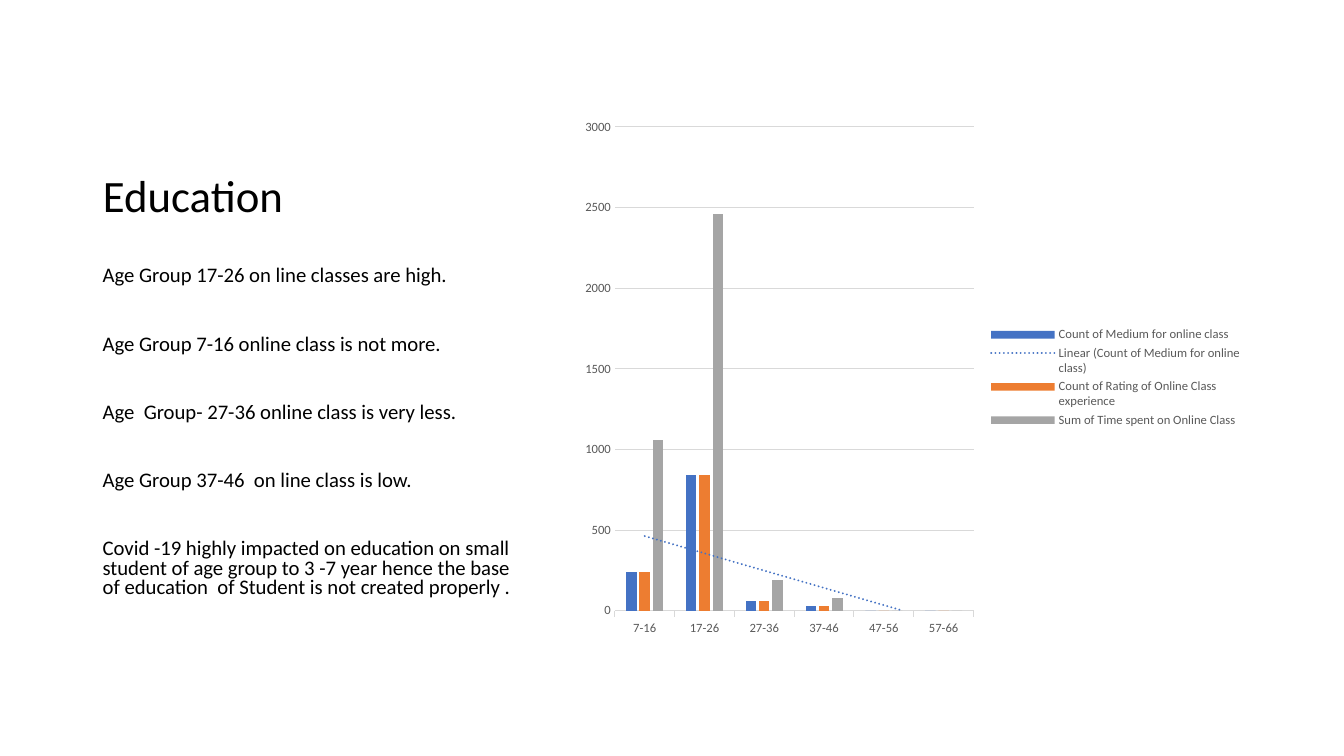
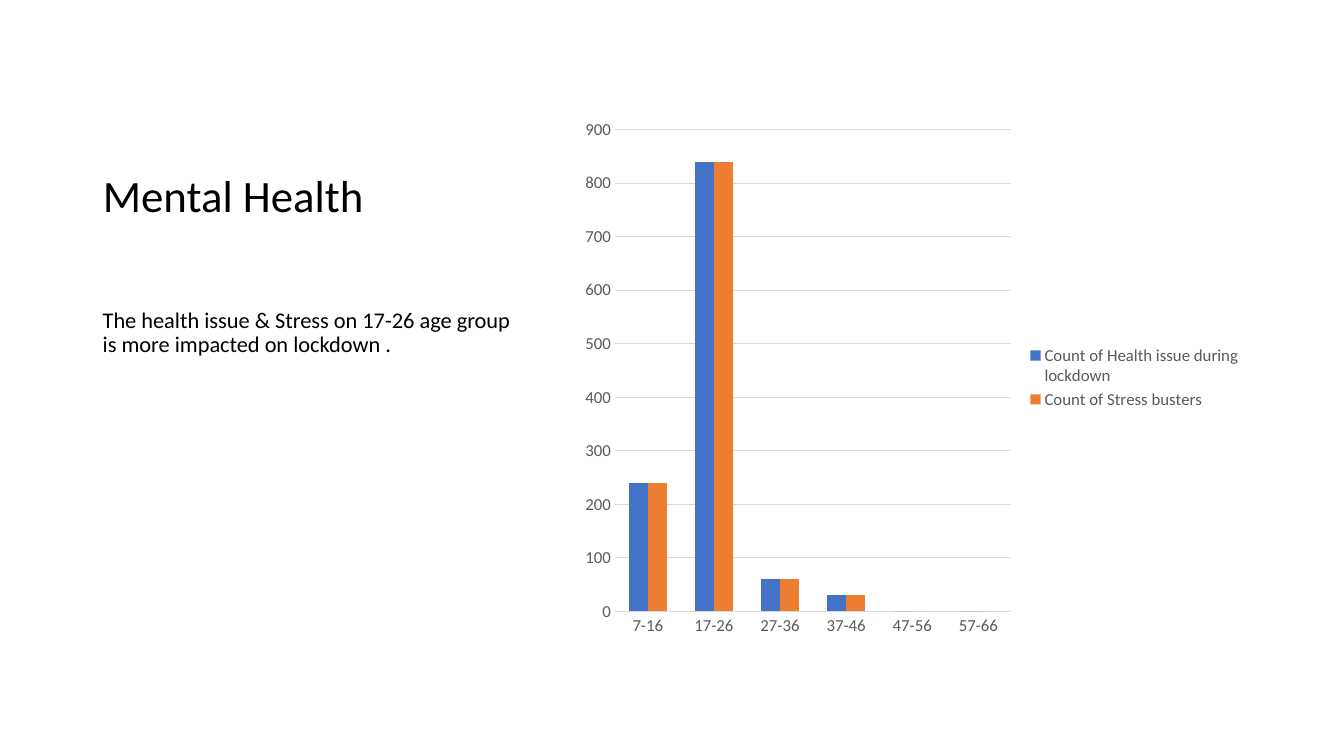
from lxml import etree
from pptx import Presentation
from pptx.chart.data import CategoryChartData
from pptx.dml.color import RGBColor
from pptx.enum.chart import XL_CHART_TYPE, XL_LEGEND_POSITION, XL_TICK_MARK
from pptx.enum.text import MSO_ANCHOR, MSO_AUTO_SIZE, PP_ALIGN
from pptx.oxml import parse_xml
from pptx.oxml.ns import nsdecls, qn
from pptx.util import Inches, Pt

BLACK = RGBColor(0x00, 0x00, 0x00)
TEXT_GRAY = RGBColor(0x59, 0x59, 0x59)
RULE_GRAY = RGBColor(0xD9, 0xD9, 0xD9)
BLUE = RGBColor(0x44, 0x72, 0xC4)
ORANGE = RGBColor(0xED, 0x7D, 0x31)
GRAY = RGBColor(0xA5, 0xA5, 0xA5)
SERIES_COLORS = [BLUE, ORANGE, GRAY]
FONT = "Calibri"

AGE_GROUPS = ["7-16", "17-26", "27-36", "37-46", "47-56", "57-66"]
RESPONSES = [240, 840, 60, 30, 0, 0]
HOURS = [1060, 2460, 190, 80, 0, 0]


class Deck:
    left, width = Inches(0.92), Inches(4.3)

    def __init__(self):
        self.prs = Presentation()
        self.prs.slide_width = Inches(13.33)
        self.prs.slide_height = Inches(7.5)
        self.s = None

    def style(self, font, size, color):
        font.name = FONT
        font.size = Pt(size)
        font.color.rgb = color

    def rule(self, line):
        line.color.rgb = RULE_GRAY
        line.width = Pt(0.75)

    def add_slide(self, title):
        self.s = self.prs.slides.add_slide(self.prs.slide_layouts[5])
        sp = self.s.shapes.title
        sp.left, sp.top = self.left, Inches(0.5)
        sp.width, sp.height = self.width, Inches(1.75)
        tf = sp.text_frame
        tf.text = title
        tf.word_wrap = True
        tf.auto_size = MSO_AUTO_SIZE.NONE
        tf.vertical_anchor = MSO_ANCHOR.BOTTOM
        p = tf.paragraphs[0]
        p.alignment = PP_ALIGN.LEFT
        p.line_spacing = 0.9
        self.style(p.runs[0].font, 32, BLACK)

    def add_body(self, lines, size, spacing, inset, gap=0):
        sp = self.s.shapes.add_textbox(self.left, Inches(2.25), self.width, Inches(4.17))
        tf = sp.text_frame
        tf.word_wrap = True
        tf.margin_top = Inches(inset)
        for i, line in enumerate(lines):
            p = tf.add_paragraph() if i else tf.paragraphs[0]
            p.text = line
            p.line_spacing = spacing
            p.space_before = Pt(gap if i else 0)
            self.style(p.runs[0].font, size, BLACK)

    def add_chart(self, series, size, top_value, step, gap, overlap=0):
        data = CategoryChartData()
        data.categories = AGE_GROUPS
        for name, values in series:
            data.add_series(name, values)
        chart = self.s.shapes.add_chart(
            XL_CHART_TYPE.COLUMN_CLUSTERED,
            Inches(5.67), Inches(1.08), Inches(6.75), Inches(5.33), data).chart
        chart.has_title = False
        self.style(chart.font, 10, BLACK)
        chart.has_legend = True
        chart.legend.position = XL_LEGEND_POSITION.RIGHT
        chart.legend.include_in_layout = False
        self.style(chart.legend.font, size, TEXT_GRAY)

        for axis in (chart.category_axis, chart.value_axis):
            self.style(axis.tick_labels.font, size, TEXT_GRAY)
            axis.major_tick_mark = XL_TICK_MARK.NONE
            axis.format.line.fill.background()
        axis = chart.value_axis
        axis.minimum_scale, axis.maximum_scale = 0, top_value
        axis.major_unit = step
        self.rule(axis.major_gridlines.format.line)

        plot = chart.plots[0]
        plot.vary_by_categories = False
        plot.gap_width, plot.overlap = gap, overlap
        for ser, color in zip(plot.series, SERIES_COLORS):
            ser.format.fill.solid()
            ser.format.fill.fore_color.rgb = color
        return chart

    def show_category_line(self, chart):
        chart.category_axis.major_tick_mark = XL_TICK_MARK.OUTSIDE
        self.rule(chart.category_axis.format.line)

    def add_trend(self, ser, color):
        trend = parse_xml(
            f'<c:trendline {nsdecls("c", "a")}><c:spPr><a:ln w="{Pt(1.5)}" cap="rnd">'
            f'<a:solidFill><a:srgbClr val="{color}"/></a:solidFill>'
            '<a:prstDash val="sysDot"/></a:ln></c:spPr>'
            '<c:trendlineType val="linear"/></c:trendline>')
        for tag in ("c:dispRSqr", "c:dispEq"):
            etree.SubElement(trend, qn(tag)).set("val", "0")
        ser._element.find(qn("c:cat")).addprevious(trend)


def main():
    deck = Deck()

    deck.add_slide("Education")
    deck.add_body([
        "Age Group 17-26 on line classes are high.",
        "Age Group 7-16 online class is not more.",
        "Age  Group- 27-36 online class is very less.",
        "Age Group 37-46  on line class is low.",
        "Covid -19 highly impacted on education on small student of age group "
        "to 3 -7 year hence the base of education  of Student is not created properly .",
    ], size=14.8, spacing=0.8, inset=0.4, gap=34.4)
    chart = deck.add_chart([
        ("Count of Medium for online class", RESPONSES),
        ("Count of Rating of Online Class experience", RESPONSES),
        ("Sum of Time spent on Online Class", HOURS),
    ], size=9, top_value=3000, step=500, gap=219, overlap=-27)
    deck.show_category_line(chart)
    deck.add_trend(chart.plots[0].series[0], BLUE)

    deck.add_slide("Mental Health")
    deck.add_body(
        ["The health issue & Stress on 17-26 age group is more impacted on lockdown ."],
        size=16, spacing=0.9, inset=0.82)
    deck.add_chart([
        ("Count of Health issue during lockdown", RESPONSES),
        ("Count of Stress busters", RESPONSES),
    ], size=12, top_value=900, step=100, gap=150)

    deck.prs.save("out.pptx")


if __name__ == "__main__":
    main()
